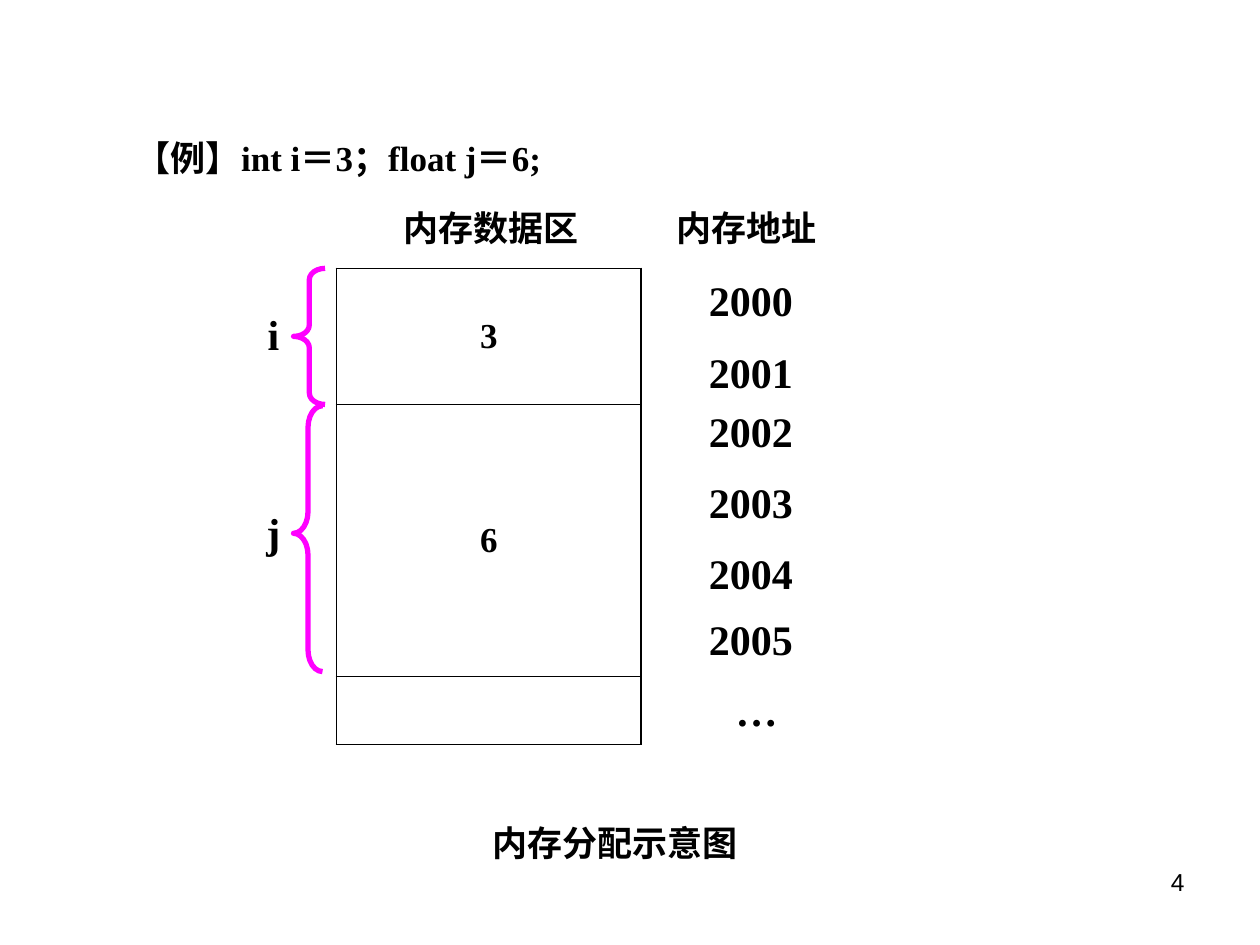
from dataclasses import dataclass

from lxml import etree
from pptx import Presentation
from pptx.dml.color import RGBColor
from pptx.enum import shapes, text
from pptx.oxml import ns
from pptx.util import Inches, Pt


@dataclass(frozen=True)
class Theme:
    ink: str = "000000"
    brace: str = "FF00FF"
    serif: str = "Times New Roman"
    sans: str = "Arial"
    body: int = 20
    label: int = 24
    number: int = 14
    brace_width: float = 3
    outer_border: float = 1.08
    inner_border: float = 0.45


THEME = Theme()
CENTER = text.PP_ALIGN.CENTER


def style_text(p, size, align=CENTER, font=THEME.serif, bold=True):
    p.alignment = align
    for r in p.runs:
        r.font.size = Pt(size)
        r.font.name = font
        r.font.bold = bold
        r.font.color.rgb = RGBColor.from_string(THEME.ink)


def add_text(slide, words, box, size, grow=True, **style):
    tf = slide.shapes.add_textbox(*map(Inches, box)).text_frame
    tf.word_wrap = True
    if grow:
        tf.auto_size = text.MSO_AUTO_SIZE.SHAPE_TO_FIT_TEXT
    tf.text = words
    p = tf.paragraphs[0]
    style_text(p, size, **style)
    return p


def add_brace(slide, box, curve, point):
    """Draw a left brace; curve and point are its two adjustments."""
    sp = slide.shapes.add_shape(shapes.MSO_SHAPE.LEFT_BRACE, *map(Inches, box))
    sp.shadow.inherit = False
    sp.adjustments[0] = curve
    sp.adjustments[1] = point
    sp.fill.background()
    sp.line.color.rgb = RGBColor.from_string(THEME.brace)
    sp.line.width = Pt(THEME.brace_width)


def set_border(cell, side, width):
    ln = etree.SubElement(cell._tc.get_or_add_tcPr(), ns.qn(f"a:ln{side}"), w=str(Pt(width)))
    fill = etree.SubElement(ln, ns.qn("a:solidFill"))
    etree.SubElement(fill, ns.qn("a:srgbClr"), val=THEME.ink)


def add_memory_table(slide, left, top, width, rows):
    height = sum(h for _, h in rows)
    frame = slide.shapes.add_table(len(rows), 1, *map(Inches, (left, top, width, height)))
    table = frame.table
    table.first_row = table.horz_banding = False
    last = len(rows) - 1
    for i, (value, row_height) in enumerate(rows):
        table.rows[i].height = Inches(row_height)
        cell = table.cell(i, 0)
        cell.text = value
        cell.vertical_anchor = text.MSO_ANCHOR.MIDDLE
        style_text(cell.text_frame.paragraphs[0], THEME.body)
        for side, outer in (("L", True), ("R", True), ("T", i == 0), ("B", i == last)):
            set_border(cell, side, THEME.outer_border if outer else THEME.inner_border)
        cell.fill.background()


def main():
    prs = Presentation()
    prs.slide_width, prs.slide_height = Inches(10), Inches(7.5)
    slide = prs.slides.add_slide(prs.slide_layouts[6])

    add_memory_table(slide, 2.67, 2.13, 2.42, [("3", 1.08), ("6", 2.16), ("", 0.54)])
    for heading, left in (("内存数据区", 2.81), ("内存地址", 4.84)):
        add_text(slide, heading, (left, 1.59, 2.17, 0.44), THEME.body)

    add_brace(slide, (2.33, 2.13, 0.25, 1.08), 0.36, 0.5)
    add_brace(slide, (2.33, 3.22, 0.23, 2.11), 0.75, 0.48)
    for name, top in (("i", 2.4), ("j", 3.97)):
        add_text(slide, name, (1.92, top, 0.5, 0.5), THEME.label)

    for address, top in enumerate((2.13, 2.7, 3.17, 3.73, 4.3, 4.82), start=2000):
        add_text(slide, str(address), (5.42, top, 1.08, 0.5), THEME.label)
    add_text(slide, "…", (5.67, 5.38, 0.67, 0.5), THEME.label)

    add_text(slide, "内存分配示意图", (3.17, 6.47, 3.42, 0.44), THEME.body)
    example = add_text(slide, "【例】int i＝3；float j＝6;", (0.98, 0.7, 5.59, 0.77),
                       THEME.body, align=text.PP_ALIGN.LEFT)
    example.line_spacing = 2.0
    add_text(slide, "4", (7.17, 6.83, 2.33, 0.52), THEME.number, grow=False,
             align=text.PP_ALIGN.RIGHT, font=THEME.sans, bold=False)

    prs.save("out.pptx")


if __name__ == "__main__":
    main()
